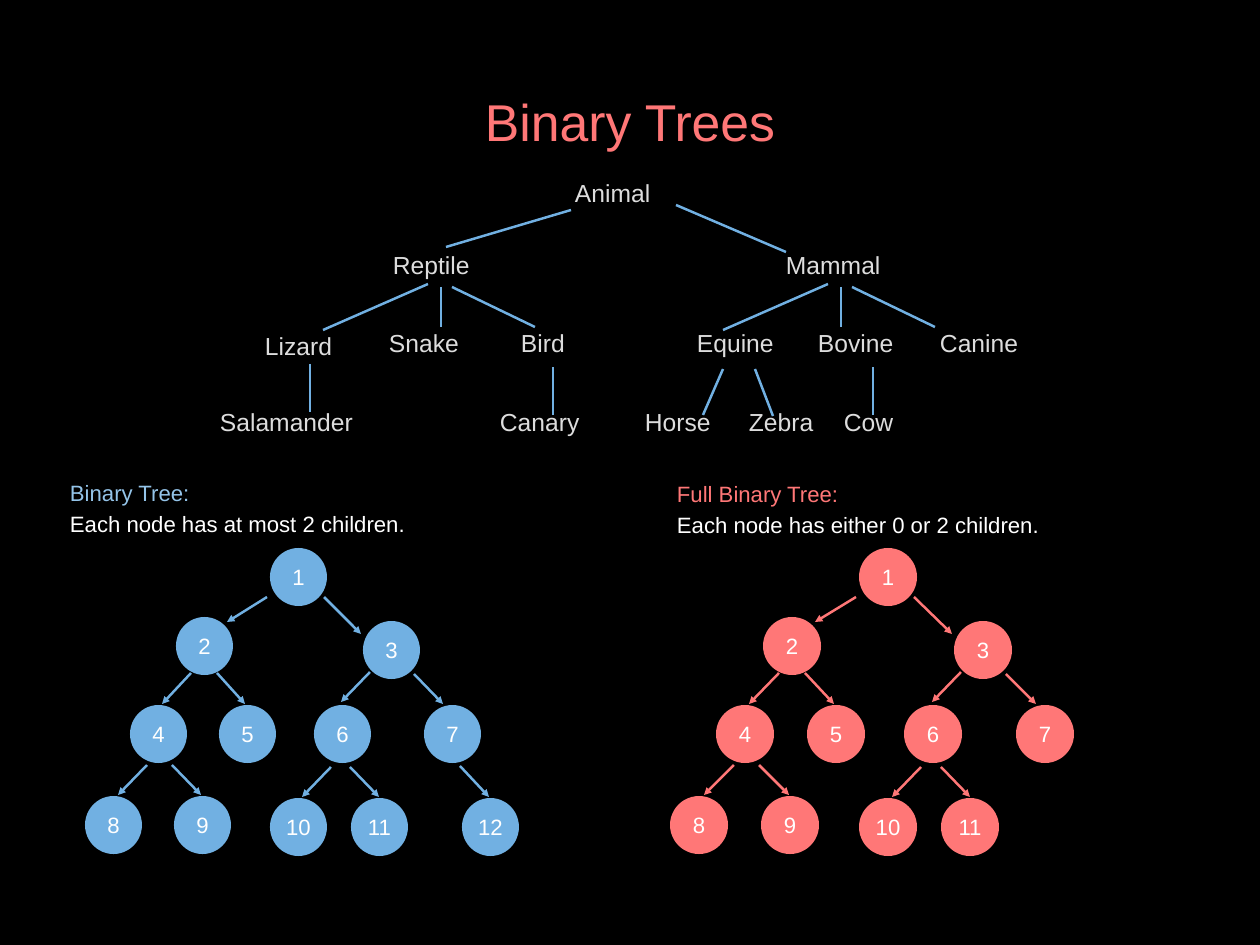
from dataclasses import dataclass
from typing import Any

from lxml.etree import SubElement
from pptx import Presentation
from pptx.dml.color import RGBColor
from pptx.enum.shapes import MSO_CONNECTOR, MSO_SHAPE
from pptx.enum.text import MSO_ANCHOR, PP_ALIGN
from pptx.oxml.ns import qn
from pptx.util import Emu, Pt

PX = 10320  # EMU in one px
PAGE_WIDTH, PAGE_HEIGHT = 1260, 945
COLOURS = {
    "black": "000000",
    "white": "FFFFFF",
    "grey": "DDDDDD",
    "blue": "71B0E2",
    "pale blue": "94C4E9",
    "coral": "FF7777",
}
Point = tuple[int, int]


@dataclass
class Label:
    text: str
    left: int
    top: int
    width: int


@dataclass
class Node:
    text: str
    centre: Point
    arrow: tuple[Point, Point] | None = None  # from the parent to this node


@dataclass
class Tree:
    name: str
    rule: str
    colour: str
    name_colour: str
    text_left: int
    text_top: int
    text_width: int
    left: int
    stretch: float
    node_width: int
    nodes: list[Node]

    def place(self, point: Point) -> Point:
        return self.left + round(point[0] * self.stretch), point[1]


# Animal hierarchy
ANIMALS = [
    Label("Animal", 570, 169, 110),
    Label("Reptile", 388, 241, 108),
    Label("Mammal", 781, 241, 126),
    Label("Lizard", 260, 322, 100),
    Label("Snake", 384, 319, 90),
    Label("Bird", 516, 319, 70),
    Label("Equine", 692, 319, 105),
    Label("Bovine", 813, 319, 105),
    Label("Canine", 935, 319, 110),
    Label("Salamander", 215, 398, 174),
    Label("Canary", 495, 398, 111),
    Label("Horse", 640, 398, 84),
    Label("Zebra", 744, 398, 90),
    Label("Cow", 839, 398, 69),
]
CLASS_FAN = [
    ((323, 330), (428, 284)),
    ((441, 287), (441, 327)),
    ((452, 287), (535, 327)),
]
MAMMAL_SHIFT = 400
BRANCHES = [
    ((446, 247), (571, 210)),
    ((676, 205), (786, 252)),
    *(((x1 + shift, y1), (x2 + shift, y2))
      for shift in (0, MAMMAL_SHIFT) for (x1, y1), (x2, y2) in CLASS_FAN),
    ((310, 364), (310, 412)),
    ((553, 367), (553, 415)),
    ((703, 415), (723, 369)),
    ((755, 369), (773, 416)),
    ((873, 367), (873, 415)),
]

# Numbered trees, x measured from the centre of node 8
NODES = [
    Node("1", (185, 577)),
    Node("2", (91, 646), ((154, 597), (114, 622))),
    Node("3", (278, 650), ((211, 597), (248, 634))),
    Node("4", (45, 734), ((78, 673), (49, 704))),
    Node("5", (134, 734), ((104, 673), (132, 704))),
    Node("6", (229, 734), ((257, 672), (228, 702))),
    Node("7", (339, 734), ((301, 674), (330, 704))),
    Node("8", (0, 825), ((34, 765), (5, 795))),
    Node("9", (89, 825), ((59, 765), (88, 795))),
    Node("10", (185, 827), ((218, 767), (189, 797))),
    Node("11", (266, 827), ((237, 767), (266, 797))),
    Node("12", (377, 827), ((347, 766), (376, 797))),
]
TREES = [
    Tree("Binary Tree:", "Each node has at most 2 children.", "blue", "pale blue",
         65, 470, 578, 113, 1, 57, NODES),
    Tree("Full Binary Tree:", "Each node has either 0 or 2 children.", "coral", "coral",
         672, 471, 525, 699, 1.02, 58, NODES[:-1]),
]
NODE_HEIGHT = 58

FRAME_FORMAT = {
    "word_wrap": True,
    "vertical_anchor": MSO_ANCHOR.MIDDLE,
    **{f"margin_{side}": Emu(5 * PX) for side in ("left", "right", "top", "bottom")},
}


def rgb(colour: str) -> RGBColor:
    return RGBColor.from_string(COLOURS[colour])


def px(*lengths: int) -> list[Emu]:
    return [Emu(length * PX) for length in lengths]


def apply_format(target: Any, values: dict[str, Any]) -> None:
    for name, value in values.items():
        setattr(target, name, value)


def write(box: Any, lines: list[tuple[str, str]], size: int,
          align: PP_ALIGN = PP_ALIGN.LEFT, spacing: Pt | None = None) -> None:
    frame = box.text_frame
    apply_format(frame, FRAME_FORMAT)
    for index, (text, colour) in enumerate(lines):
        para = frame.add_paragraph() if index else frame.paragraphs[0]
        apply_format(para, {"alignment": align, "line_spacing": spacing})
        span = para.add_run()
        span.text = text
        apply_format(span.font, {"name": "Arial", "size": Pt(size)})
        span.font.color.rgb = rgb(colour)


def draw_line(shapes: Any, start: Point, end: Point, colour: str, arrow: bool = False) -> None:
    line = shapes.add_connector(MSO_CONNECTOR.STRAIGHT, *px(*start, *end))
    line.line.color.rgb = rgb(colour)
    line.line.width = Pt(2)
    properties = line._element.spPr
    if arrow:
        SubElement(properties.find(qn("a:ln")), qn("a:tailEnd"), type="triangle")
    SubElement(properties, qn("a:effectLst"))


def draw_node(shapes: Any, node: Node, tree: Tree) -> None:
    x, y = tree.place(node.centre)
    circle = shapes.add_shape(MSO_SHAPE.OVAL, *px(
        x - tree.node_width // 2, y - NODE_HEIGHT // 2, tree.node_width, NODE_HEIGHT))
    circle.shadow.inherit = False
    circle.fill.solid()
    circle.fill.fore_color.rgb = rgb(tree.colour)
    circle.line.fill.background()
    write(circle, [(node.text, "white")], 18, PP_ALIGN.CENTER)


def draw_tree(page: Any, tree: Tree) -> None:
    box = page.shapes.add_textbox(*px(tree.text_left, tree.text_top, tree.text_width, 72))
    write(box, [(tree.name, tree.name_colour), (tree.rule, "white")], 18, spacing=Pt(25))
    group = page.shapes.add_group_shape()
    for node in tree.nodes:
        draw_node(group.shapes, node, tree)
        if node.arrow:
            start, end = map(tree.place, node.arrow)
            draw_line(group.shapes, start, end, tree.colour, arrow=True)


def main() -> None:
    deck = Presentation()
    deck.slide_width, deck.slide_height = px(PAGE_WIDTH, PAGE_HEIGHT)
    page = deck.slides.add_slide(deck.slide_layouts[6])
    page.background.fill.solid()
    page.background.fill.fore_color.rgb = rgb("black")

    # Title
    title = page.shapes.add_textbox(*px(88, 83, 1084, 75))
    write(title, [("Binary Trees", "coral")], 42, PP_ALIGN.CENTER)

    # Animal hierarchy
    for label in ANIMALS:
        box = page.shapes.add_textbox(*px(label.left, label.top, label.width, 48))
        write(box, [(label.text, "grey")], 20)
    for start, end in BRANCHES:
        draw_line(page.shapes, start, end, "blue")

    # Numbered trees
    for tree in TREES:
        draw_tree(page, tree)

    deck.save("out.pptx")


if __name__ == "__main__":
    main()
